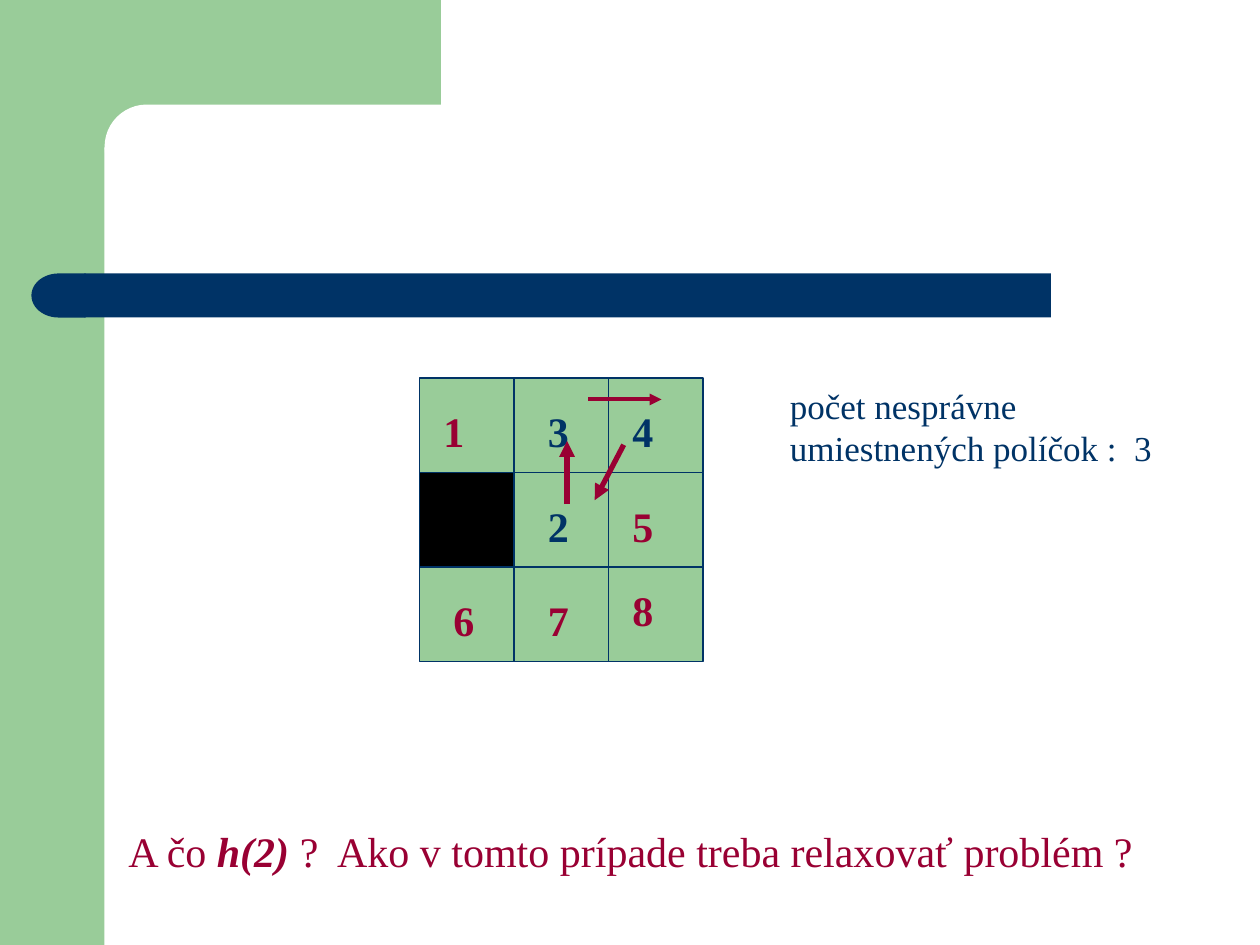
from lxml.etree import SubElement
from pptx import Presentation
from pptx.dml.color import RGBColor
from pptx.enum.shapes import MSO_CONNECTOR, MSO_SHAPE
from pptx.enum.text import MSO_ANCHOR
from pptx.oxml.ns import qn
from pptx.util import Inches, Pt

theme = {
    "green": RGBColor.from_string("99CC99"),
    "navy": RGBColor.from_string("003366"),
    "red": RGBColor.from_string("990033"),
    "white": RGBColor.from_string("FFFFFF"),
    "black": RGBColor.from_string("000000"),
    "font": "Times New Roman",
    "big": Pt(24),
    "note": Pt(20),
}

deck = Presentation()
deck.slide_width, deck.slide_height = Inches(10), Inches(7.5)
slide = deck.slides.add_slide(deck.slide_layouts[6])
shapes = slide.shapes


def block(kind, box, fill, edge=None):
    form = shapes.add_shape(kind, *map(Inches, box))
    form.shadow.inherit = False
    form.fill.solid()
    form.fill.fore_color.rgb = theme[fill]
    if edge:
        form.line.color.rgb = theme[edge]
        form.line.width = Pt(0.75)
    else:
        form.line.fill.background()
    return form


def label(box, size, tone, runs):
    frame = shapes.add_textbox(*map(Inches, box)).text_frame
    frame.word_wrap = True
    frame.vertical_anchor = MSO_ANCHOR.BOTTOM
    for text, style in runs:
        run = frame.paragraphs[0].add_run()
        run.text = text
        run.font.color.rgb = theme[tone]
        look = {"name": theme["font"], "size": theme[size], **style}
        for key, value in look.items():
            setattr(run.font, key, value)


# Green frame with a rounded inner corner
block(MSO_SHAPE.RECTANGLE, (0, 0, 0.83, 7.5), "green")
block(MSO_SHAPE.RECTANGLE, (0.75, 0, 2.75, 1.17), "green")
inner = block(MSO_SHAPE.ROUNDED_RECTANGLE, (0.83, 0.83, 5.58, 0.67), "white")
inner.adjustments[0] = 0.5

# Navy bar with a round left end
block(MSO_SHAPE.RECTANGLE, (0.67, 2.17, 7.67, 0.35), "navy")
cap = block(MSO_SHAPE.FLOWCHART_DELAY, (0.25, 2.17, 0.43, 0.35), "navy")
cap._element.spPr.xfrm.set("flipH", "1")

# Puzzle board: zero is the empty tile, navy digits are misplaced
board = ((1, 3, 4), (0, 2, 5), (6, 7, 8))
left, top, side = 3.33, 3, 0.75
near, far = 0.09, 0.17
for row, tiles in enumerate(board):
    for col, digit in enumerate(tiles):
        x, y = left + col * side, top + row * side
        fill = "green" if digit else "black"
        block(MSO_SHAPE.RECTANGLE, (x, y, side, side), fill, "navy")
        if digit:
            dx = near if digit in (1, 4, 5, 8) else far
            dy = near if digit == 8 else far
            tone = "navy" if digit in (2, 3, 4) else "red"
            label((x + dx, y + dy, 0.5, 0.5), "big", tone,
                  [(str(digit), {"bold": True})])

# Count of misplaced tiles
label((6.17, 3, 3.42, 0.77), "note", "navy",
      [("počet nesprávne umiestnených políčok :  3", {})])

# Arrows for the moves
moves = (
    (4.67, 3.17, 5.25, 3.17, 2.25),
    (4.95, 3.53, 4.72, 3.97, 3),
    (4.5, 4, 4.5, 3.5, 3),
)
for *ends, width in moves:
    arrow = shapes.add_connector(MSO_CONNECTOR.STRAIGHT, *map(Inches, ends))
    arrow.line.color.rgb = theme["red"]
    arrow.line.width = Pt(width)
    SubElement(arrow.line._get_or_add_ln(), qn("a:tailEnd"), type="triangle")
    SubElement(arrow._element.spPr, qn("a:effectLst"))

# Closing question
label((0.92, 6.5, 8.67, 0.5), "big", "red", [
    ("A čo ", {}),
    ("h(2) ", {"bold": True, "italic": True}),
    ("?  Ako v tomto prípade treba relaxovať problém ?", {}),
])

deck.save("out.pptx")
